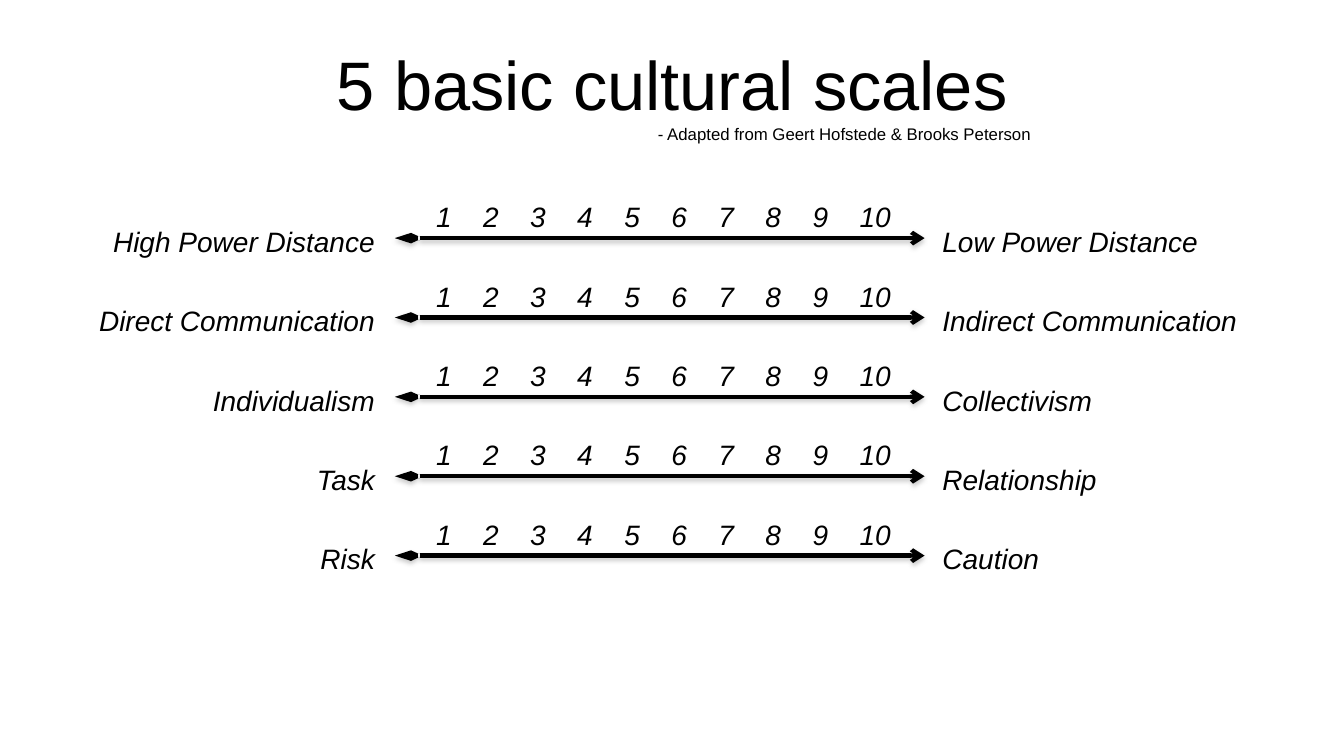
import dataclasses
import typing

import lxml.etree
import pptx
import pptx.dml.color
import pptx.enum.shapes
import pptx.enum.text
import pptx.oxml.ns
import pptx.util

Cm = pptx.util.Cm
Pt = pptx.util.Pt
ALIGN = pptx.enum.text.PP_ALIGN
ANCHOR = pptx.enum.text.MSO_ANCHOR
COLOURS = {"ink": "000000", "shadow": "808080"}
FONT = "Arial"
FIRST_SCALE, SCALE_PITCH = 6, 2
SCALE_LEFT, SCALE_RIGHT = 9.95, 23.3
NUMBER_PITCH = 1.186
LABEL_FORMAT = {"size": Pt(20), "italic": True, "name": FONT}


@dataclasses.dataclass(frozen=True)
class Scale:
    low: str
    high: str


SCALES = [
    Scale("High Power Distance", "Low Power Distance"),
    Scale("Direct Communication", "Indirect Communication"),
    Scale("Individualism", "Collectivism"),
    Scale("Task", "Relationship"),
    Scale("Risk", "Caution"),
]


def colour(name: str) -> pptx.dml.color.RGBColor:
    return pptx.dml.color.RGBColor.from_string(COLOURS[name])


def add_element(parent: typing.Any, tag: str, **values: typing.Any) -> typing.Any:
    element = lxml.etree.SubElement(parent, pptx.oxml.ns.qn(f"a:{tag}"))
    for key, value in values.items():
        element.set(key, str(value))
    return element


def add_box(slide: typing.Any, left: float, top: float, width: float, height: float) -> typing.Any:
    box = slide.shapes.add_textbox(Cm(left), Cm(top), Cm(width), Cm(height))
    box.text_frame.word_wrap = True
    return box


def write(para: typing.Any, text: str, align: typing.Any, values: dict) -> None:
    para.alignment = align
    span = para.add_run()
    span.text = text
    for key, value in values.items():
        setattr(span.font, key, value)
    span.font.color.rgb = colour("ink")


def add_title(slide: typing.Any) -> None:
    frame = add_box(slide, 6.78, 0.91, 20.32, 2.87).text_frame
    frame.vertical_anchor = ANCHOR.MIDDLE
    write(frame.paragraphs[0], "5 basic cultural scales", ALIGN.CENTER,
          {"size": Pt(49), "name": FONT})
    credit = frame.add_paragraph()
    write(credit, "- Adapted from Geert Hofstede & Brooks Peterson", ALIGN.LEFT,
          {"size": Pt(12), "name": FONT})
    credit._p.get_or_add_pPr().set("marL", str(Cm(9.55)))


def add_label(slide: typing.Any, text: str, left: float, middle: float, align: typing.Any) -> None:
    box = add_box(slide, left, middle - 0.47, 8, 1.1)
    write(box.text_frame.paragraphs[0], text, align, LABEL_FORMAT)


def add_numbers(slide: typing.Any, middle: float) -> None:
    box = add_box(slide, 10.74, middle - 1.09, 12.5, 1.1)
    para = box.text_frame.paragraphs[0]
    write(para, "\t".join(str(number) for number in range(1, 11)), ALIGN.LEFT, LABEL_FORMAT)
    stops = add_element(para._p.get_or_add_pPr(), "tabLst")
    for step in range(1, 10):
        add_element(stops, "tab", pos=Cm(step * NUMBER_PITCH), algn="l")


def add_arrow(slide: typing.Any, middle: float) -> None:
    arrow = slide.shapes.add_connector(
        pptx.enum.shapes.MSO_CONNECTOR.STRAIGHT,
        Cm(SCALE_RIGHT), Cm(middle), Cm(SCALE_LEFT), Cm(middle))
    arrow.line.color.rgb = colour("ink")
    arrow.line.width = Pt(3)
    line = arrow.line._get_or_add_ln()
    add_element(line, "headEnd", type="arrow", w="med", len="med")
    add_element(line, "tailEnd", type="arrow", w="sm", len="lg")
    effects = add_element(arrow._element.spPr, "effectLst")
    shadow = add_element(effects, "outerShdw", blurRad=Pt(3.1), dist=Pt(1.6),
                         dir=5400000, rotWithShape=0)
    tint = add_element(shadow, "srgbClr", val=COLOURS["shadow"])
    add_element(tint, "alpha", val=38000)


deck = pptx.Presentation()
deck.slide_width, deck.slide_height = Cm(33.87), Cm(19.05)
page = deck.slides.add_slide(deck.slide_layouts[6])
add_title(page)
for row, scale in enumerate(SCALES):
    middle = FIRST_SCALE + row * SCALE_PITCH
    add_arrow(page, middle)
    add_label(page, scale.low, 1.7, middle, ALIGN.RIGHT)
    add_label(page, scale.high, 23.5, middle, ALIGN.LEFT)
    add_numbers(page, middle)
deck.save("out.pptx")
